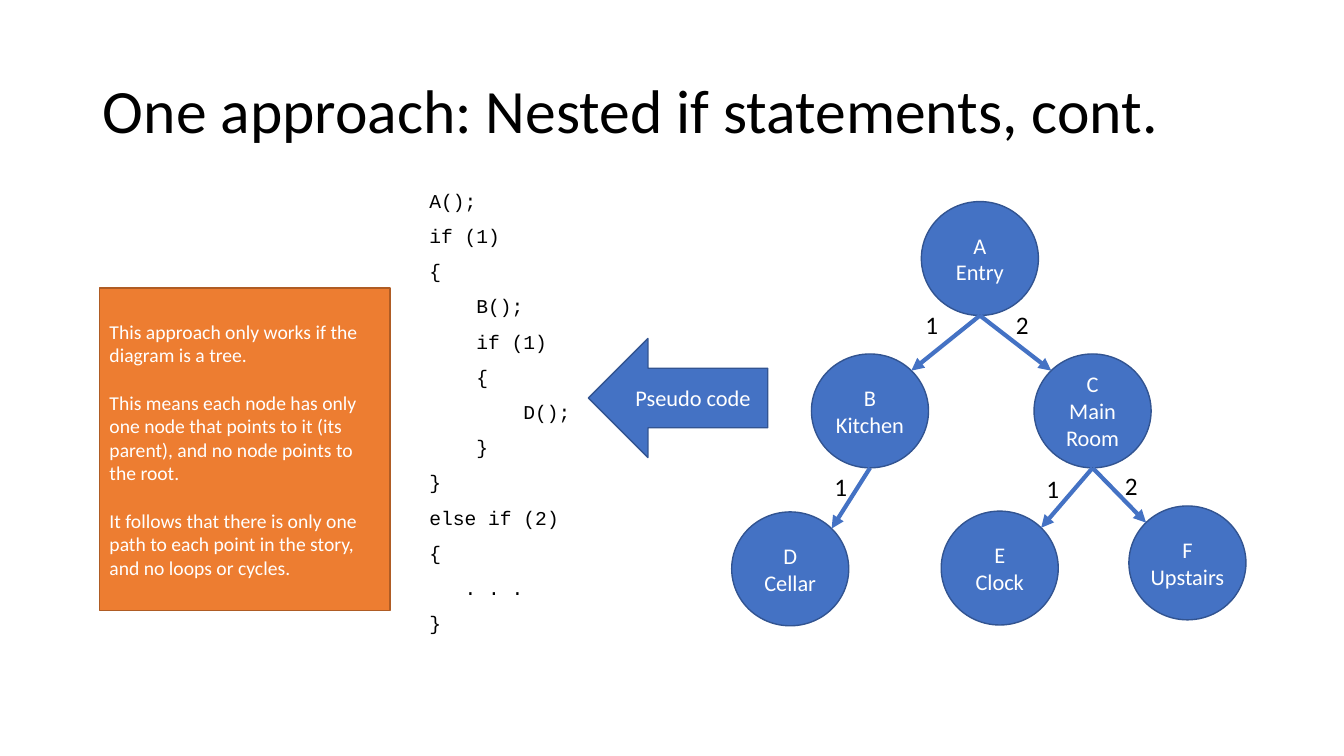
from dataclasses import dataclass
from math import sqrt

from lxml.etree import SubElement
from pptx import Presentation
from pptx.dml.color import RGBColor
from pptx.enum.shapes import MSO_CONNECTOR, MSO_SHAPE
from pptx.enum.text import MSO_ANCHOR, MSO_AUTO_SIZE, PP_ALIGN
from pptx.oxml.ns import qn
from pptx.shapes.autoshape import Shape
from pptx.slide import Slide
from pptx.text.text import TextFrame
from pptx.util import Cm, Pt

COLORS = {
    "text": "000000",
    "white": "FFFFFF",
    "blue": "4472C4",
    "blue_line": "325491",
    "orange": "ED7D31",
    "orange_line": "AF5C24",
}
SANS, MONO = "Calibri", "Courier New"
NODE_W, NODE_H = 2.95, 2.87
CODE_SIZE = 14
CHAR_W = 0.6 * CODE_SIZE  # width of one monospaced character, in points


@dataclass
class Box:
    left: float
    top: float
    width: float
    height: float

    def lengths(self) -> tuple[Cm, Cm, Cm, Cm]:
        return Cm(self.left), Cm(self.top), Cm(self.width), Cm(self.height)


@dataclass
class Node:
    left: float
    top: float
    lines: list[str]

    @property
    def center_x(self) -> float:
        return self.left + NODE_W / 2


@dataclass
class Edge:
    parent: str
    child: str
    choice: str
    label_left: float
    label_top: float


@dataclass
class CodeLine:
    indent: int  # in characters
    text: str


TITLE = "One approach: Nested if statements, cont."
NODES = {
    "A": Node(23.22, 5.08, ["A", "Entry"]),
    "B": Node(20.45, 8.92, ["B", "Kitchen"]),
    "C": Node(26.06, 8.92, ["C", "Main", "Room"]),
    "D": Node(18.44, 12.9, ["D", "Cellar"]),
    "E": Node(23.72, 12.88, ["E", "Clock"]),
    "F": Node(28.45, 12.75, ["F", "Upstairs"]),
}
EDGES = [
    Edge("A", "B", "1", 23.32, 7.67),
    Edge("A", "C", "2", 25.6, 7.67),
    Edge("B", "D", "1", 21.03, 11.76),
    Edge("C", "E", "1", 26.37, 11.81),
    Edge("C", "F", "2", 28.35, 11.73),
]
CODE = [
    CodeLine(0, "A();"),
    CodeLine(0, "if (1)"),
    CodeLine(0, "{"),
    CodeLine(4, "B();"),
    CodeLine(4, "if (1)"),
    CodeLine(4, "{"),
    CodeLine(8, "D();"),
    CodeLine(4, "}"),
    CodeLine(0, "}"),
    CodeLine(0, "else if (2)"),
    CodeLine(0, "{"),
    CodeLine(3, ". . ."),
    CodeLine(0, "}"),
]
NOTE = [
    "This approach only works if the diagram is a tree.",
    "This means each node has only one node that points to it (its parent), "
    "and no node points to the root.",
    "It follows that there is only one path to each point in the story, "
    "and no loops or cycles.",
]


def rgb(name: str) -> RGBColor:
    return RGBColor.from_string(COLORS[name])


def write(tf: TextFrame, lines: list[str], size: int, color: str,
          align: PP_ALIGN = PP_ALIGN.LEFT, font: str = SANS) -> None:
    tf.text = "\n".join(lines)
    for p in tf.paragraphs:
        p.alignment = align
        p.font.name = font
        p.font.size = Pt(size)
        p.font.color.rgb = rgb(color)


def add_filled(slide: Slide, kind: MSO_SHAPE, box: Box, color: str) -> Shape:
    sp = slide.shapes.add_shape(kind, *box.lengths())
    sp.shadow.inherit = False
    sp.fill.solid()
    sp.fill.fore_color.rgb = rgb(color)
    sp.line.color.rgb = rgb(f"{color}_line")
    sp.line.width = Pt(1)
    sp.text_frame.word_wrap = True
    sp.text_frame.vertical_anchor = MSO_ANCHOR.MIDDLE
    return sp


def add_title(slide: Slide) -> None:
    sp = slide.shapes.title
    sp.left, sp.top, sp.width, sp.height = Box(2.34, 1.02, 29.21, 3.68).lengths()
    tf = sp.text_frame
    tf.auto_size = MSO_AUTO_SIZE.NONE
    tf.vertical_anchor = MSO_ANCHOR.MIDDLE
    write(tf, [TITLE], 44, "text")
    tf.paragraphs[0].line_spacing = 0.9


def add_code(slide: Slide) -> None:
    tf = slide.shapes.add_textbox(*Box(10.57, 4.7, 6.1, 12.78).lengths()).text_frame
    tf.word_wrap = True
    write(tf, [line.text for line in CODE], CODE_SIZE, "text", font=MONO)
    for p, line in zip(tf.paragraphs, CODE):
        p.line_spacing = 0.9
        p.space_before = Pt(10)
        pPr = p._p.get_or_add_pPr()
        pPr.set("marL", str(Pt(line.indent * CHAR_W)))
        pPr.set("indent", "0")


def add_node(slide: Slide, node: Node) -> None:
    sp = add_filled(slide, MSO_SHAPE.OVAL, Box(node.left, node.top, NODE_W, NODE_H), "blue")
    tf = sp.text_frame
    tf.margin_left = tf.margin_right = 0
    write(tf, node.lines, 16, "white", PP_ALIGN.CENTER)


def add_edge(slide: Slide, edge: Edge) -> None:
    # From the parent's lowest point to the child's rim at 45 degrees
    parent, child = NODES[edge.parent], NODES[edge.child]
    side = 1 if parent.center_x > child.center_x else -1
    end_x = child.center_x + side * NODE_W / 2 / sqrt(2)
    end_y = child.top + NODE_H / 2 * (1 - 1 / sqrt(2))
    cxn = slide.shapes.add_connector(
        MSO_CONNECTOR.STRAIGHT, Cm(parent.center_x), Cm(parent.top + NODE_H),
        Cm(end_x), Cm(end_y))
    cxn.line.color.rgb = rgb("blue")
    cxn.line.width = Pt(3)
    SubElement(cxn.line._get_or_add_ln(), qn("a:tailEnd"), type="triangle")
    SubElement(cxn._element.spPr, qn("a:effectLst"))

    # Number of the choice
    box = Box(edge.label_left, edge.label_top, 0.33, 1.02)
    tf = slide.shapes.add_textbox(*box.lengths()).text_frame
    tf.margin_left = tf.margin_right = 0
    write(tf, [edge.choice], 18, "text")


def main() -> None:
    prs = Presentation()
    prs.slide_width, prs.slide_height = Cm(33.87), Cm(19.05)
    slide = prs.slides.add_slide(prs.slide_layouts[5])
    add_title(slide)
    add_code(slide)

    # Story tree
    for node in NODES.values():
        add_node(slide, node)
    for edge in EDGES:
        add_edge(slide, edge)

    # Arrow from the tree to the code
    sp = add_filled(slide, MSO_SHAPE.LEFT_ARROW, Box(14.83, 8.53, 4.52, 3), "blue")
    write(sp.text_frame, ["Pseudo code"], 16, "white", PP_ALIGN.CENTER)

    # Note on trees
    sp = add_filled(slide, MSO_SHAPE.RECTANGLE, Box(2.51, 7.26, 7.32, 8.13), "orange")
    write(sp.text_frame, NOTE, 14, "white")
    for p in sp.text_frame.paragraphs[1:]:
        p.space_before = Pt(17)

    prs.save("out.pptx")


if __name__ == "__main__":
    main()
